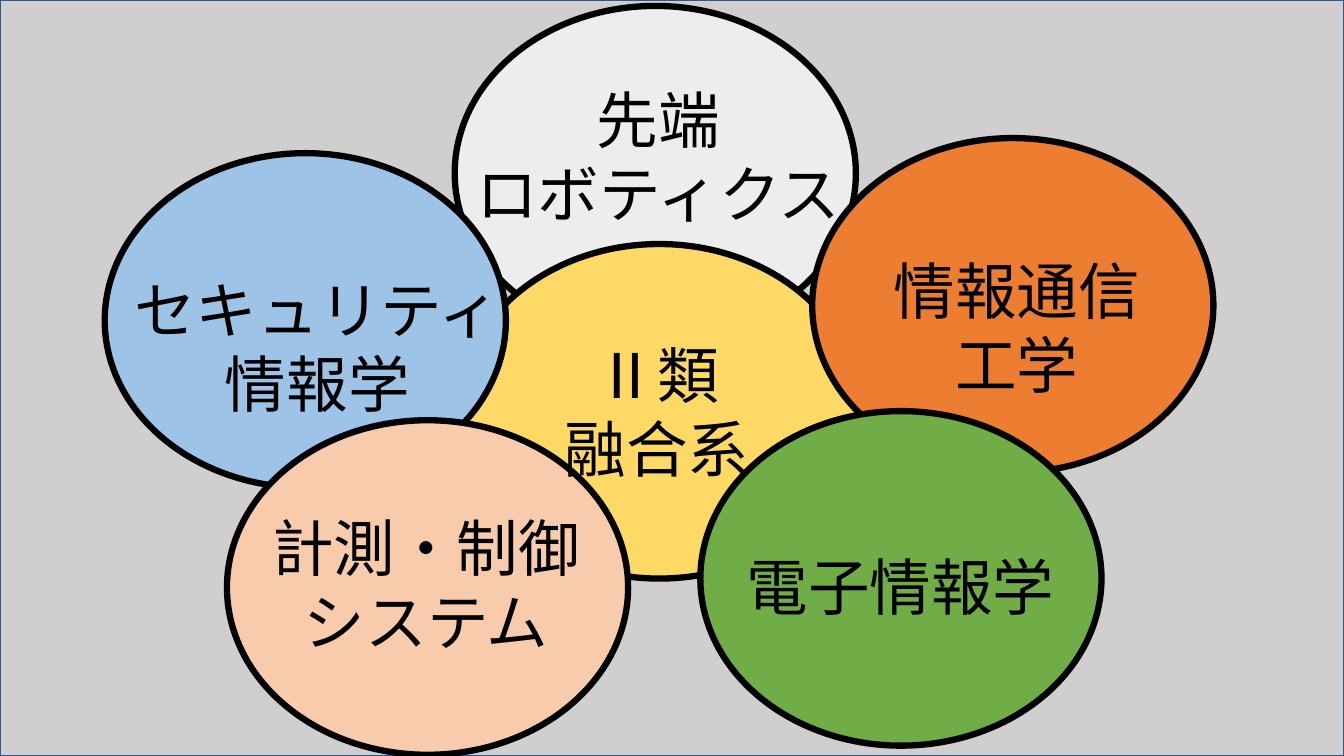
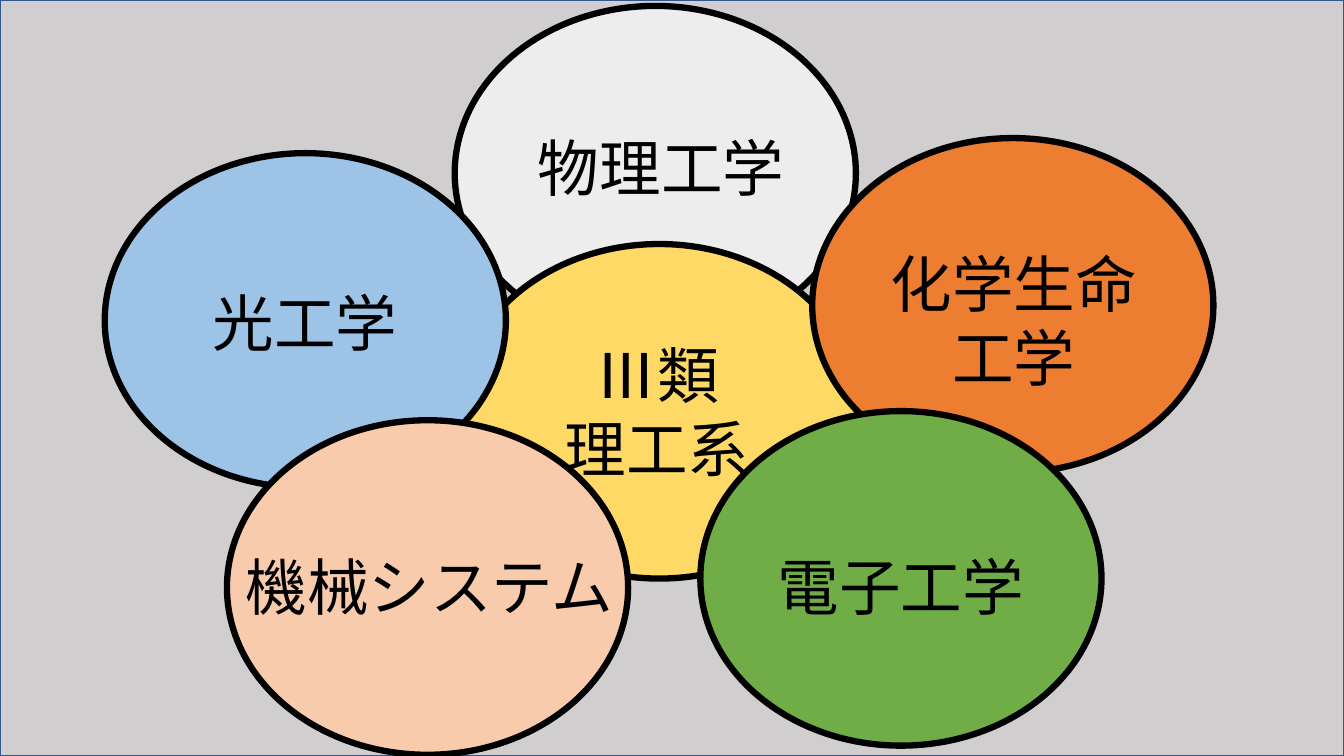
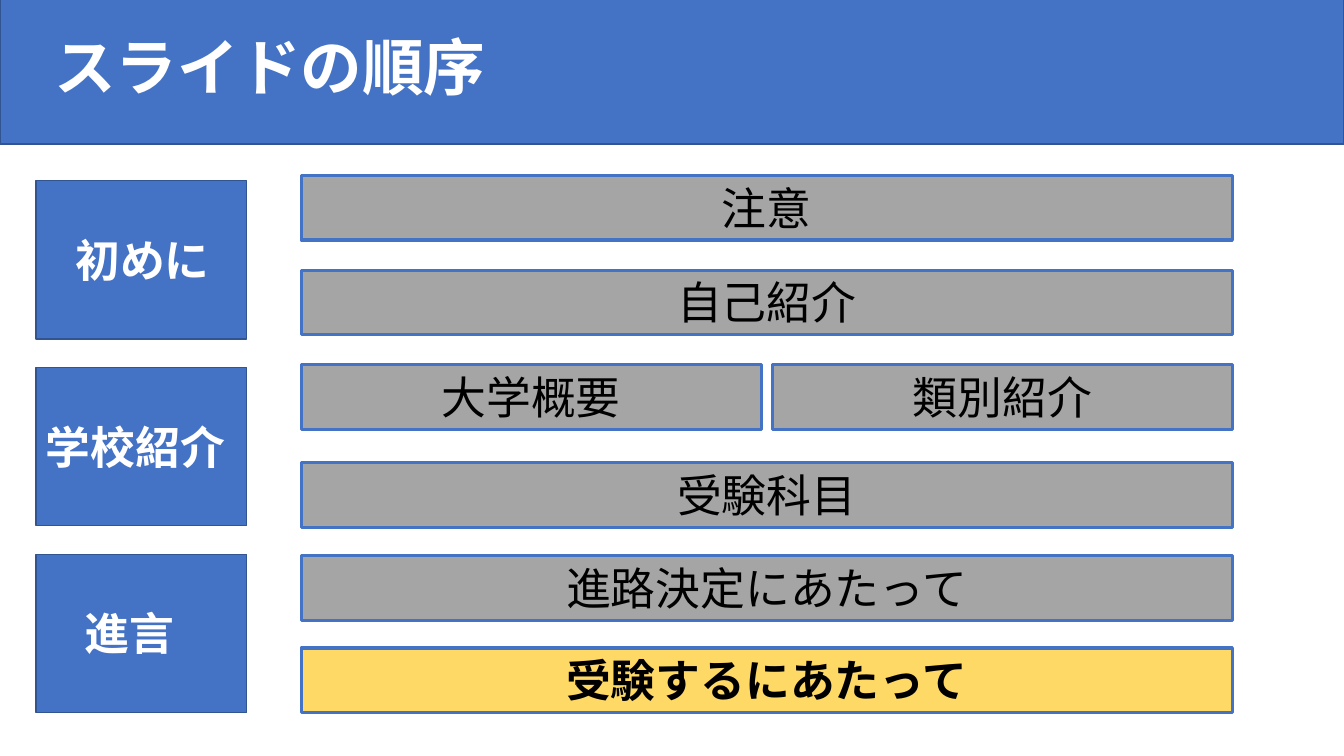
import pptx
import pptx.dml.color
import pptx.enum.shapes
import pptx.enum.text
import pptx.oxml.ns
import pptx.util
from pptx.util import Cm

RGBColor = pptx.dml.color.RGBColor
ALIGN = pptx.enum.text.PP_ALIGN
ANCHOR = pptx.enum.text.MSO_ANCHOR
SHAPE = pptx.enum.shapes.MSO_SHAPE

BLACK = RGBColor(0x00, 0x00, 0x00)
WHITE = RGBColor(0xFF, 0xFF, 0xFF)
BLUE = RGBColor(0x44, 0x72, 0xC4)
NAVY = RGBColor(0x32, 0x54, 0x91)
BACKDROP = RGBColor(0xD0, 0xCE, 0xCE)
PALE = RGBColor(0xED, 0xED, 0xED)
YELLOW = RGBColor(0xFF, 0xD9, 0x66)
ORANGE = RGBColor(0xED, 0x7D, 0x31)
SKY = RGBColor(0x9D, 0xC3, 0xE6)
PEACH = RGBColor(0xF8, 0xCB, 0xAD)
GREEN = RGBColor(0x70, 0xAD, 0x47)
GREY = RGBColor(0xA5, 0xA5, 0xA5)

FONT = "Noto Sans CJK JP"
PAGE_WIDTH, PAGE_HEIGHT = 33.87, 19.05
PETAL_WIDTH, PETAL_HEIGHT = 10.11, 8.43

# name: left, top, fill, label width
PETALS = {
    "top": (11.46, 0.15, PALE, 10.77),
    "centre": (11.56, 6.15, YELLOW, 7.62),
    "right": (20.47, 3.48, ORANGE, 8.08),
    "left": (2.64, 3.86, SKY, 10.36),
    "lower left": (5.72, 10.59, PEACH, 10.77),
    "lower right": (17.65, 10.36, GREEN, 8.48),
}

FUSION_LABELS = {
    "centre": ("Ⅱ類\n融合系", 1.19, 2.21, 2),
    "left": ("セキュリティ情報学", 0.18, 2.87, 2),
    "lower right": ("電子情報学", 0.81, 3.35, 1),
    "right": ("情報通信工学", 1.12, 2.77, 2),
    "lower left": ("計測・制御\nシステム", -0.36, 2.13, 2),
    "top": ("先端\nロボティクス", -0.25, 1.8, 2),
}
SCIENCE_LABELS = {
    "centre": ("Ⅲ類\n理工系", 1.19, 2.21, 2),
    "left": ("光工学", -0.13, 3.2, 1),
    "lower right": ("電子工学", 0.81, 3.35, 1),
    "right": ("化学生命工学", 1.04, 2.59, 2),
    "lower left": ("機械システム", -0.28, 3.12, 1),
    "top": ("物理工学", -0.18, 3.0, 1),
}

SECTIONS = [("初めに", 0.74, 4.06), ("学校紹介", 0, 5.31), ("進言", 0.97, 3.35)]
TOPICS = [
    (4.42, ["注意"]),
    (6.81, ["自己紹介"]),
    (9.19, ["大学概要", "類別紹介"]),
    (11.66, ["受験科目"]),
    (14.0, ["進路決定にあたって"]),
    (16.33, ["受験するにあたって"]),
]
CURRENT_TOPIC = "受験するにあたって"


def add_panel(page, kind, box, fill, line, weight):
    """Draw a filled, outlined shape in a box of centimetres."""
    panel = page.shapes.add_shape(kind, *map(Cm, box))
    panel.shadow.inherit = False
    panel.fill.solid()
    panel.fill.fore_color.rgb = fill
    panel.line.color.rgb = line
    panel.line.width = pptx.util.Pt(weight)
    return panel


def write(shape, text, size, color, bold=False, align=ALIGN.CENTER, anchor=ANCHOR.TOP):
    """Fill a shape with text in the shared font."""
    frame = shape.text_frame
    frame.text = text
    frame.word_wrap = True
    frame.vertical_anchor = anchor
    for paragraph in frame.paragraphs:
        paragraph.alignment = align
        for span in paragraph.runs:
            span.font.size = pptx.util.Pt(size)
            span.font.bold = bold
            span.font.color.rgb = color
            span.font.name = FONT
            properties = span.font._element
            east_asian = properties.makeelement(
                pptx.oxml.ns.qn("a:ea"), {"typeface": FONT})
            properties.find(pptx.oxml.ns.qn("a:latin")).addnext(east_asian)


def add_text(page, box, text, size, color, **style):
    """Add a text box in a box of centimetres."""
    shape = page.shapes.add_textbox(*map(Cm, box))
    write(shape, text, size, color, **style)
    return shape


def add_page(deck):
    """Append a blank page."""
    return deck.slides.add_slide(deck.slide_layouts[6])


def build_flower(page, labels):
    """Draw the petals of a study group and their labels."""
    add_panel(page, SHAPE.RECTANGLE, (0, 0, PAGE_WIDTH, PAGE_HEIGHT), BACKDROP, NAVY, 1)
    for left, top, fill, _ in PETALS.values():
        add_panel(page, SHAPE.OVAL, (left, top, PETAL_WIDTH, PETAL_HEIGHT), fill, BLACK, 4.5)
    for petal, (text, shift, drop, lines) in labels.items():
        left, top, _, width = PETALS[petal]
        height = 0.25 + 1.88 * lines
        add_text(page, (left + shift, top + drop, width, height), text, 44, BLACK)


def add_title_band(page, title):
    """Draw the blue band with the page title."""
    top, height = -0.05, 3.68
    add_panel(page, SHAPE.RECTANGLE, (0, top, PAGE_WIDTH, height), BLUE, NAVY, 1)
    shape = add_text(page, (1.12, top, 12.27, height), title, 44, WHITE,
                     bold=True, align=ALIGN.LEFT, anchor=ANCHOR.MIDDLE)
    shape.text_frame.paragraphs[0].line_spacing = 0.9


def add_sections(page, left, top, width, height, pitch):
    """Stack the section tiles with their names."""
    for index, (name, shift, name_width) in enumerate(SECTIONS):
        tile_top = top + index * pitch
        add_panel(page, SHAPE.RECTANGLE, (left, tile_top, width, height), BLUE, NAVY, 1)
        add_text(page, (left + shift, tile_top + 1.18, name_width, 1.63), name, 32, WHITE,
                 bold=True, align=ALIGN.LEFT)


def add_topics(page, left, width, height, gap):
    """Draw the topic bars, sharing each row equally."""
    for top, names in TOPICS:
        bar_width = (width - gap * (len(names) - 1)) / len(names)
        for index, name in enumerate(names):
            current = name == CURRENT_TOPIC
            box = (left + index * (bar_width + gap), top, bar_width, height)
            bar = add_panel(page, SHAPE.RECTANGLE, box, YELLOW if current else GREY, BLUE, 2.25)
            write(bar, name, 32, BLACK, bold=current)


def build_agenda(page):
    """Build the page that shows the order of the talk."""
    add_title_band(page, "スライドの順序")
    add_sections(page, 0.91, 4.55, 5.31, 3.99, 4.71)
    add_topics(page, 7.59, 23.47, 1.63, 0.28)


def main():
    """Build and save the deck."""
    deck = pptx.Presentation()
    deck.slide_width, deck.slide_height = Cm(PAGE_WIDTH), Cm(PAGE_HEIGHT)
    for labels in (FUSION_LABELS, SCIENCE_LABELS):
        build_flower(add_page(deck), labels)
    build_agenda(add_page(deck))
    deck.save("out.pptx")


if __name__ == "__main__":
    main()
